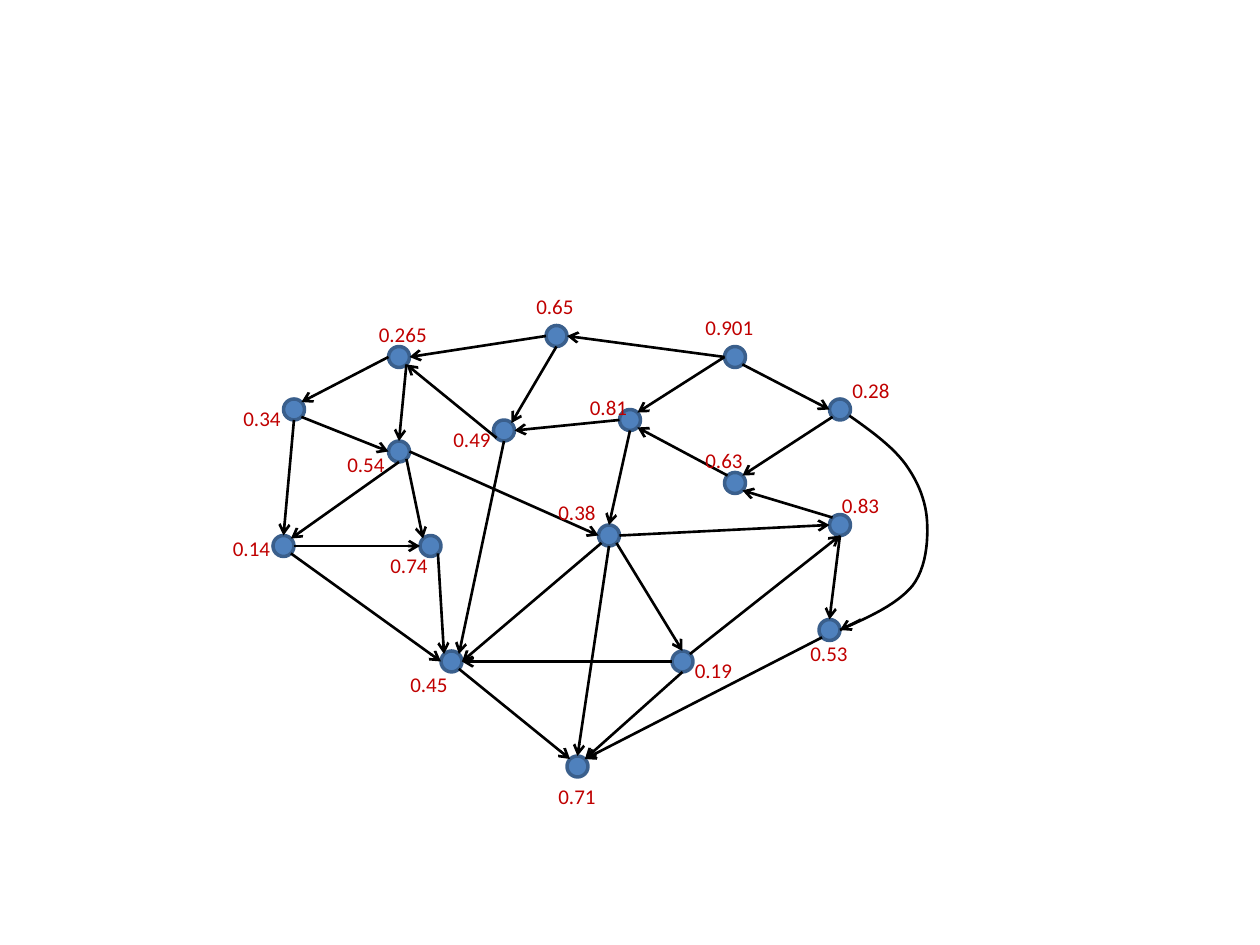
from math import sqrt

from lxml.etree import SubElement
from pptx import Presentation
from pptx.dml.color import RGBColor
from pptx.enum.shapes import MSO_CONNECTOR, MSO_SHAPE
from pptx.enum.text import MSO_AUTO_SIZE
from pptx.oxml.ns import qn
from pptx.util import Inches, Pt

OVAL = MSO_SHAPE.OVAL
STRAIGHT = MSO_CONNECTOR.STRAIGHT
FIT = MSO_AUTO_SIZE.SHAPE_TO_FIT_TEXT

BLUE = RGBColor(0x4F, 0x81, 0xBD)
NAVY = RGBColor(0x3A, 0x5F, 0x8C)
BLACK = RGBColor(0, 0, 0)
RED = RGBColor(0xC0, 0, 0)

# Grid of 120 columns by 90 rows; a node is two cells wide.
COLS, ROWS = 120, 90
DIAG = sqrt(0.5)
SIDES = {
    "n": (0, -1), "ne": (DIAG, -DIAG), "e": (1, 0), "se": (DIAG, DIAG),
    "s": (0, 1), "sw": (-DIAG, DIAG), "w": (-1, 0), "nw": (-DIAG, -DIAG),
}

# Label: (node centre, label's left top corner)
NODES = {
    "0.34": ((28, 39), (22, 38)),
    "0.265": ((38, 34), (34.9, 30)),
    "0.65": ((53, 32), (49.9, 27.4)),
    "0.74": ((41, 52), (36, 52)),
    "0.54": ((38, 43), (31.9, 42.4)),
    "0.14": ((27, 52), (21, 50.4)),
    "0.49": ((48, 41), (42, 40)),
    "0.81": ((60, 40), (55, 37)),
    "0.38": ((58, 51), (52, 47)),
    "0.83": ((80, 50), (79, 46.3)),
    "0.28": ((80, 39), (80, 35.4)),
    "0.901": ((70, 34), (66, 29.4)),
    "0.63": ((70, 46), (66, 42)),
    "0.45": ((43, 63), (37.9, 63.4)),
    "0.19": ((65, 63), (65, 62)),
    "0.53": ((79, 60), (76, 60.4)),
    "0.71": ((55, 73), (52, 74)),
}

# From node, side it leaves, to node, side it enters
EDGES = [
    ("0.265", "w", "0.34", "ne"), ("0.65", "w", "0.265", "e"),
    ("0.901", "w", "0.81", "ne"), ("0.901", "se", "0.28", "w"),
    ("0.28", "sw", "0.63", "ne"), ("0.901", "w", "0.65", "e"),
    ("0.63", "nw", "0.81", "se"), ("0.81", "w", "0.49", "e"),
    ("0.65", "s", "0.49", "ne"), ("0.265", "se", "0.54", "n"),
    ("0.49", "sw", "0.265", "se"), ("0.81", "s", "0.38", "n"),
    ("0.19", "ne", "0.83", "s"), ("0.38", "se", "0.19", "n"),
    ("0.38", "e", "0.83", "w"), ("0.83", "nw", "0.63", "se"),
    ("0.49", "s", "0.45", "ne"), ("0.38", "sw", "0.45", "e"),
    ("0.19", "w", "0.45", "e"), ("0.53", "sw", "0.71", "ne"),
    ("0.83", "s", "0.53", "n"), ("0.19", "s", "0.71", "ne"),
    ("0.45", "se", "0.71", "nw"), ("0.14", "e", "0.74", "w"),
    ("0.34", "se", "0.54", "w"), ("0.34", "s", "0.14", "n"),
    ("0.54", "se", "0.74", "nw"), ("0.54", "e", "0.38", "w"),
    ("0.74", "se", "0.45", "nw"), ("0.38", "s", "0.71", "n"),
    ("0.14", "se", "0.45", "w"), ("0.54", "s", "0.14", "ne"),
]

# Start point, then two controls and an end for each bend
START = (80.9, 39.6)
BENDS = [
    ((82.9, 41), (85.1, 42.6), (86.3, 44.3)),
    ((87.5, 46), (88.2, 47.8), (88.3, 49.7)),
    ((88.4, 51.6), (88.2, 54.1), (86.9, 55.8)),
    ((85.4, 57.6), (82.7, 58.8), (80, 60)),
]


def bezier(a, b, c, d, steps=12):
    """Points along a cubic curve, without its start."""
    spots = []
    for i in range(1, steps + 1):
        t = i / steps
        u = 1 - t
        spots.append(tuple(
            u**3 * p + 3 * u * u * t * q + 3 * u * t * t * r + t**3 * s
            for p, q, r, s in zip(a, b, c, d)))
    return spots


def port(node, side):
    """Point on the rim of a node."""
    (x, y), _ = NODES[node]
    dx, dy = SIDES[side]
    return x + dx, y + dy


class Graph:
    def __init__(self, deck):
        self.shapes = deck.slides.add_slide(deck.slide_layouts[6]).shapes
        self.col = deck.slide_width / COLS
        self.row = deck.slide_height / ROWS

    def emu(self, spot):
        return round(spot[0] * self.col), round(spot[1] * self.row)

    def ink(self, line, color=BLACK, width=1.5):
        line.color.rgb = color
        line.width = Pt(width)

    def node(self, spot):
        x, y = spot
        dot = self.shapes.add_shape(
            OVAL, *self.emu((x - 1, y - 1)), *self.emu((2, 2)))
        dot.shadow.inherit = False
        dot.fill.solid()
        dot.fill.fore_color.rgb = BLUE
        self.ink(dot.line, NAVY, 2)

    def arrow(self, start, end):
        link = self.shapes.add_connector(
            STRAIGHT, *self.emu(start), *self.emu(end))
        self.ink(link.line)
        SubElement(link.line._get_or_add_ln(), qn("a:tailEnd"), type="arrow")
        SubElement(link._element.spPr, qn("a:effectLst"))

    def curve(self, start, bends):
        spots, last = [], start
        for bend in bends:
            spots += bezier(last, *bend)
            last = bend[-1]
        pen = self.shapes.build_freeform(*self.emu(start))
        pen.add_line_segments([self.emu(s) for s in spots], close=False)
        arc = pen.convert_to_shape()
        arc.shadow.inherit = False
        arc.fill.background()
        self.ink(arc.line)

    def label(self, text, spot):
        width = 6 if len(text) == 4 else 7.1
        box = self.shapes.add_textbox(
            *self.emu(spot), *self.emu((width, 3.6)))
        frame = box.text_frame
        frame.word_wrap = False
        frame.auto_size = FIT
        run = frame.paragraphs[0].add_run()
        run.text = text
        run.font.name = "Calibri"
        run.font.size = Pt(12)
        run.font.color.rgb = RED


def main():
    deck = Presentation()
    deck.slide_width, deck.slide_height = Inches(10), Inches(7.5)
    graph = Graph(deck)
    for spot, _ in NODES.values():
        graph.node(spot)
    for tail, out, head, into in EDGES:
        graph.arrow(port(tail, out), port(head, into))
    graph.curve(START, BENDS)
    graph.arrow((82, 59), (80, 60))
    for text, (_, spot) in NODES.items():
        graph.label(text, spot)
    deck.save("out.pptx")


if __name__ == "__main__":
    main()
